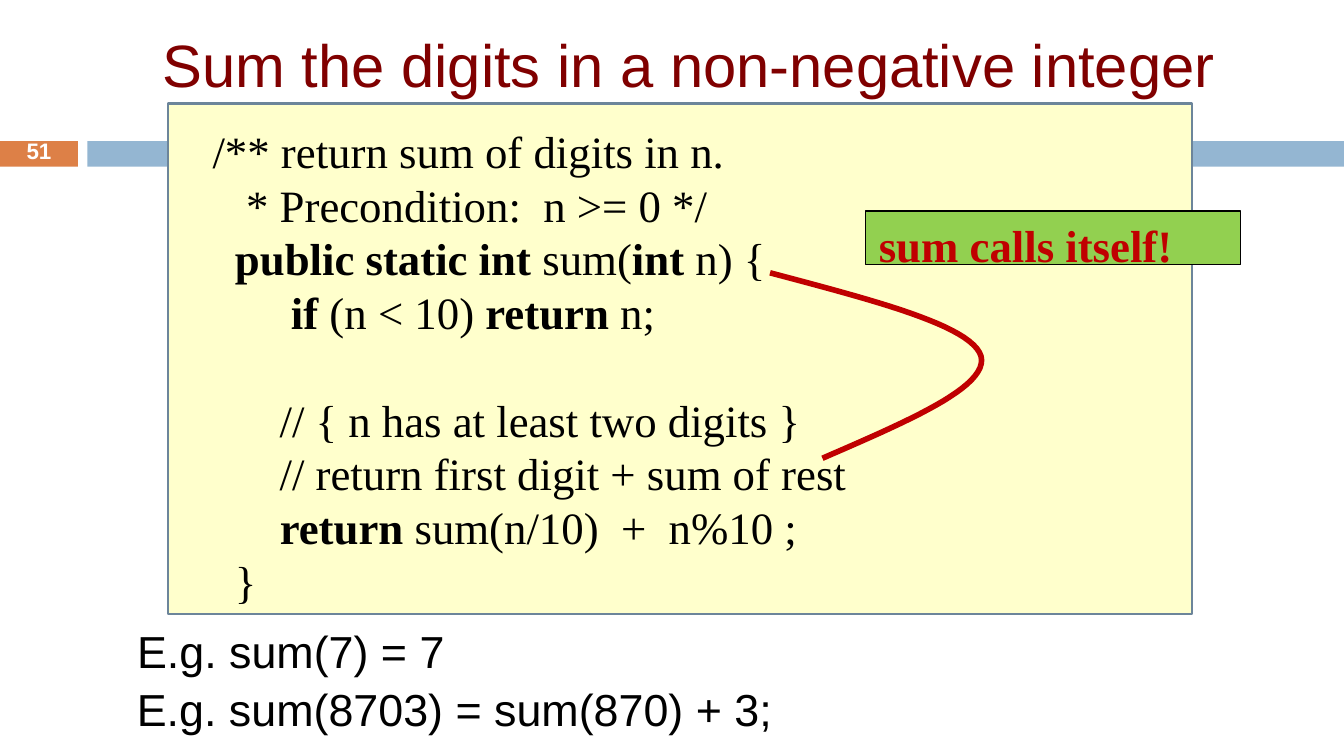
from pptx import Presentation
from pptx import util as u
from pptx.dml.color import RGBColor
from pptx.enum import shapes, text
from pptx.oxml import parse_xml
from pptx.oxml.ns import nsdecls

COLS, ROWS = 100, 56.25
CELL = u.Inches(0.1)
SANS, SERIF = "Arial", "Times New Roman"
CODE = [
    " /** return sum of digits in n.",
    "    * Precondition:  n >= 0 */",
    "   |public static int| sum(|int| n) {",
    "        |if| (n < 10) |return| n;",
    "       // { n has at least two digits }",
    "       // return first digit + sum of rest",
    "       |return| sum(n/10)  +  n%10 ;",
    "   }",
]
GAP = 4
ARC = [
    [(57.3, 20.3), (64.8, 22.3), (72.3, 24.2), (73, 26.5)],
    [(73, 26.5), (73.6, 28.8), (67.4, 31.4), (61.2, 34.1)],
]


def grid(*cells):
    """Turn grid cells into lengths."""
    return [round(c * CELL) for c in cells]


def color(code):
    """Turn a hex string into a colour."""
    return RGBColor.from_string(code)


def edge(shape, code, width):
    """Outline a shape."""
    shape.line.color.rgb = color(code)
    shape.line.width = u.Pt(width)


def rect(slide, cells, fill, line=None, width=1):
    """Draw a filled rectangle."""
    box = slide.shapes.add_shape(shapes.MSO_SHAPE.RECTANGLE, *grid(*cells))
    box.shadow.inherit = False
    box.fill.solid()
    box.fill.fore_color.rgb = color(fill)
    if line:
        edge(box, line, width)
    else:
        box.line.fill.background()
    return box


def frame(shape, anchor=text.MSO_ANCHOR.TOP):
    """Prepare the text frame of a shape."""
    body = shape.text_frame
    body.word_wrap = True
    body.auto_size = text.MSO_AUTO_SIZE.NONE
    body.vertical_anchor = anchor
    return body


def label(slide, cells):
    """Add an empty text box."""
    return slide.shapes.add_textbox(*grid(*cells))


def hold(shape, cells):
    """Move a placeholder onto the grid."""
    shape.left, shape.top, shape.width, shape.height = grid(*cells)
    return shape


def write(para, line, size, face, ink, bold=False, align=text.PP_ALIGN.LEFT, pitch=1.0):
    """Write a line whose parts between bars are bold."""
    para.alignment = align
    para.line_spacing = pitch
    para.space_before = u.Pt(0)
    for i, part in enumerate(line.split("|")):
        run = para.add_run()
        run.text = part
        font = run.font
        font.size, font.name = u.Pt(size), face
        font.bold = bold or i % 2 == 1
        font.color.rgb = color(ink)


def code(slide, cells):
    """Set the code listing with one gap before its comments."""
    body = frame(label(slide, cells))
    for i, line in enumerate(CODE):
        para = body.add_paragraph() if i else body.paragraphs[0]
        write(para, line, 24, SERIF, "000000")
        if i == GAP:
            para.space_before = u.Pt(28.8)


def bezier(ends, t):
    """Find the point at share t of a cubic curve."""
    s = 1 - t
    parts = (s**3, 3 * s * s * t, 3 * s * t * t, t**3)
    return grid(*(sum(k * p[i] for k, p in zip(parts, ends)) for i in (0, 1)))


def curve(slide, arcs, ink, width, steps=24):
    """Draw joined cubic curves as an open line."""
    pen = slide.shapes.build_freeform(*grid(*arcs[0][0]))
    pts = [bezier(arc, n / steps) for arc in arcs for n in range(1, steps + 1)]
    pen.add_line_segments(pts, close=False)
    bow = pen.convert_to_shape()
    bow.shadow.inherit = False
    bow.fill.background()
    edge(bow, ink, width)


def main():
    """Build the slide."""
    deck = Presentation()
    deck.slide_width, deck.slide_height = grid(COLS, ROWS)
    slide = deck.slides.add_slide(deck.slide_layouts[1])
    mid, center = text.MSO_ANCHOR.MIDDLE, text.PP_ALIGN.CENTER

    rect(slide, (0, 10.5, 5.8, 1.9), "DD8047")
    rect(slide, (6.5, 10.5, COLS - 6.5, 1.9), "94B6D2")
    rect(slide, (12.5, 7.7, 76.2, 38), "FFFFCC", "6C859A", 1.5)

    title = frame(hold(slide.shapes.title, (6.7, 1.9, 89.2, 5.6)), mid)
    write(title.paragraphs[0], "Sum the digits in a non-negative integer",
          32, SANS, "800000", align=center)
    page = frame(label(slide, (0, 10.4, 5.8, 2)), mid)
    write(page.paragraphs[0], "51", 12, SANS, "FFFFFF", True, center, 0.8)

    code(slide, (14, 8.7, 69.2, 28))
    curve(slide, ARC, "C00000", 3)
    note = rect(slide, (64.4, 15.7, 27.9, 4), "92D050", "000000", 0.75)
    write(frame(note).paragraphs[0], "sum calls itself!",
          24, SERIF, "C00000", True)

    first = frame(hold(slide.placeholders[1], (9.2, 45.9, 72.5, 4.4))).paragraphs[0]
    props = first._p.get_or_add_pPr()
    props.set("marL", "0")
    props.set("indent", "0")
    props.append(parse_xml(f"<a:buNone {nsdecls('a')}/>"))
    write(first, "E.g. sum(7) = 7", 24, SANS, "000000")
    last = frame(label(slide, (9.2, 50.2, 89.2, 4.4))).paragraphs[0]
    write(last, "E.g. sum(8703) = sum(870) + 3;", 24, SANS, "000000")

    deck.save("out.pptx")


if __name__ == "__main__":
    main()
